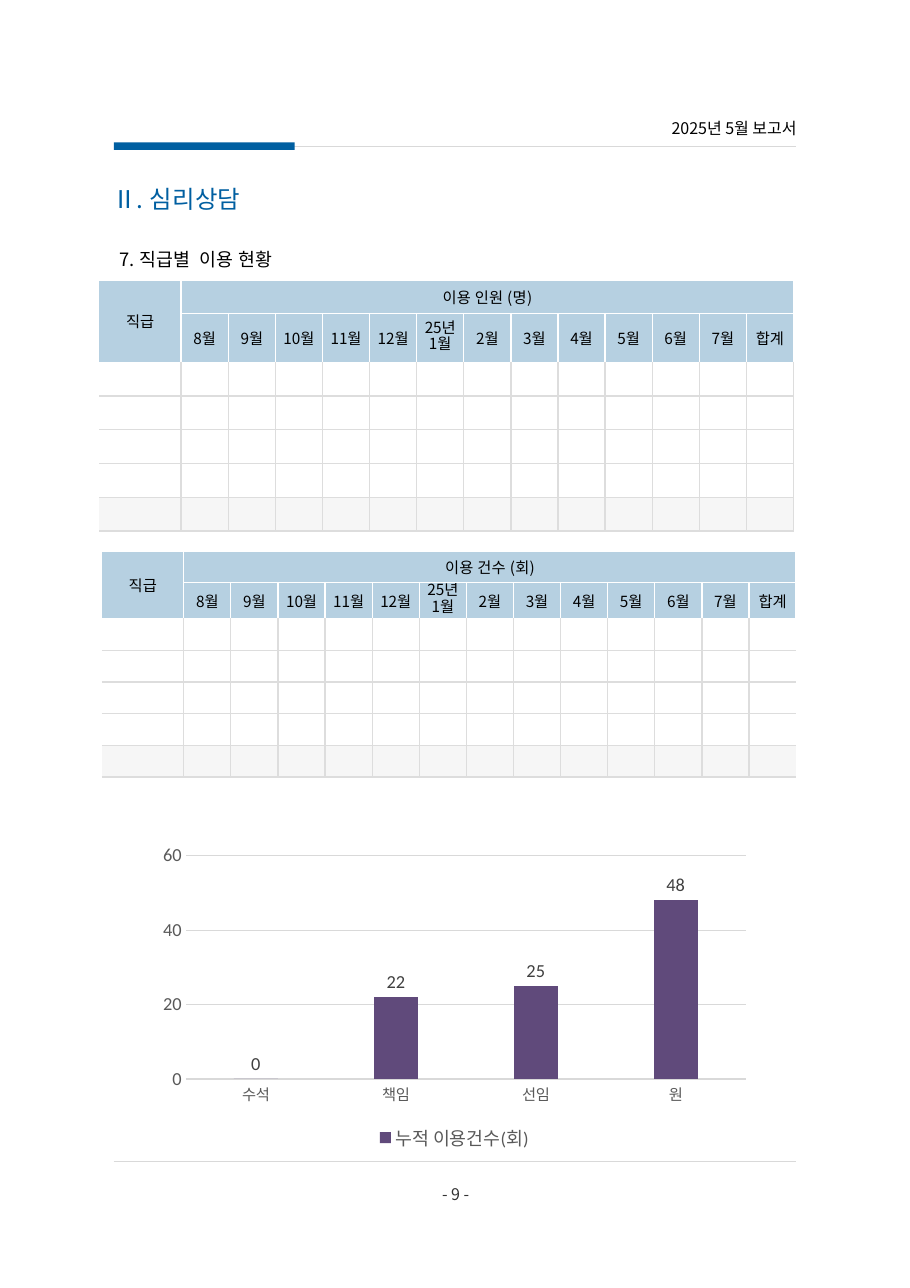
from lxml import etree
from pptx import Presentation
from pptx import util as u
from pptx.chart import data
from pptx.dml import color
from pptx.enum import chart as charts, shapes, text
from pptx.oxml import ns

Pt = u.Pt
HANGUL = "Noto Sans CJK KR"
LATIN = "Calibri"
BLUE, HEADER_BLUE, PURPLE = "005FA1", "B6D0E1", "604A7B"
RULE_GRAY, CELL_GRAY, TOTAL_GRAY = "D9D9D9", "DDDDDD", "F6F6F6"
MONTHS = ["8월", "9월", "10월", "11월", "12월", "25년\n1월", "2월", "3월",
          "4월", "5월", "6월", "7월", "합계"]
BODY_ROWS = 5
RANK_WIDTH, MONTH_WIDTH = 53.6, 30.8


def rgb(value):
    return color.RGBColor.from_string(value)


def set_font(font, size, shade, name=HANGUL):
    font.size, font.name = Pt(size), name
    font.color.rgb = rgb(shade)


def style_paragraph(para, size, shade, align, before=0, spacing=None, tracking=0):
    para.alignment, para.space_before = align, Pt(before)
    if spacing:
        para.line_spacing = spacing
    set_font(para.font, size, shade)
    # East Asian typeface and letter spacing
    properties = para.font._rPr
    etree.SubElement(properties, ns.qn("a:ea"), typeface=HANGUL)
    if tracking:
        properties.set("spc", str(round(tracking * 100)))


def add_text(page, words, left, top, width, height, size, shade, align,
             insets=(0, 0, 0, 0), indent=0, **style):
    box = page.shapes.add_textbox(Pt(left), Pt(top), Pt(width), Pt(height))
    frame = box.text_frame
    frame.word_wrap = True
    frame.auto_size = text.MSO_AUTO_SIZE.SHAPE_TO_FIT_TEXT
    (frame.margin_left, frame.margin_top,
     frame.margin_right, frame.margin_bottom) = map(Pt, insets)
    para = frame.paragraphs[0]
    para.text = words
    style_paragraph(para, size, shade, align, **style)
    if indent:
        para._p.get_or_add_pPr().set("marL", str(Pt(indent)))


def add_rule(page, left, right, top):
    rule = page.shapes.add_connector(
        shapes.MSO_CONNECTOR.STRAIGHT, Pt(left), Pt(top), Pt(right), Pt(top))
    rule.line.color.rgb = rgb(RULE_GRAY)
    rule.line.width = Pt(0.75)
    etree.SubElement(rule._element.spPr, ns.qn("a:effectLst"))


def add_bar(page, left, top, width, height):
    bar = page.shapes.add_shape(
        shapes.MSO_SHAPE.RECTANGLE, Pt(left), Pt(top), Pt(width), Pt(height))
    bar.shadow.inherit = False
    bar.fill.solid()
    bar.fill.fore_color.rgb = rgb(BLUE)
    bar.line.fill.background()


def set_borders(cell, left, right, top, bottom):
    properties = cell._tc.get_or_add_tcPr()
    for side, shade in zip("LRTB", (left, right, top, bottom)):
        line = etree.SubElement(properties, ns.qn(f"a:ln{side}"), w=str(Pt(1)))
        if shade:
            fill = etree.SubElement(line, ns.qn("a:solidFill"))
            etree.SubElement(fill, ns.qn("a:srgbClr"), val=shade)
        else:
            etree.SubElement(line, ns.qn("a:noFill"))


def fill_cell(cell, shade):
    if shade:
        cell.fill.solid()
        cell.fill.fore_color.rgb = rgb(shade)
    else:
        cell.fill.background()


def write_header(cell, words, before, tracking=0):
    cell.text_frame.text = words
    stacked = "\n" in words
    for para in cell.text_frame.paragraphs:
        style_paragraph(para, 10, "000000", text.PP_ALIGN.CENTER, before,
                        0.5 if stacked else None, tracking)


def add_usage_table(page, heading, left, top, row_height, month_height,
                    closed, stacked_inset):
    heights = [row_height, month_height] + [row_height] * BODY_ROWS
    widths = [RANK_WIDTH] + [MONTH_WIDTH] * len(MONTHS)
    table = page.shapes.add_table(
        len(heights), len(widths), Pt(left), Pt(top),
        Pt(sum(widths)), Pt(sum(heights))).table
    table.first_row = table.horz_banding = False
    for column, width in zip(table.columns, widths):
        column.width = Pt(width)
    for row, height in zip(table.rows, heights):
        row.height = Pt(height)

    # Borders, fills and margins
    last_row, last_column = len(heights) - 1, len(widths) - 1
    for r in range(len(heights)):
        for c in range(len(widths)):
            cell = table.cell(r, c)
            header = r < 2
            shade = "FFFFFF" if header else CELL_GRAY
            open_right = c == last_column and not header and not closed
            set_borders(cell, shade if c else None,
                        None if open_right else shade,
                        "FFFFFF" if r <= 2 else CELL_GRAY,
                        "FFFFFF" if header else CELL_GRAY)
            fill_cell(cell, HEADER_BLUE if header
                      else TOTAL_GRAY if r == last_row else None)
            cell.vertical_anchor = text.MSO_ANCHOR.MIDDLE
            cell.margin_left = cell.margin_right = Pt(2.9)
            cell.margin_top = cell.margin_bottom = Pt(2.9)
            if not header:
                # Small end mark keeps empty rows at their set height
                etree.SubElement(cell.text_frame.paragraphs[0]._p,
                                 ns.qn("a:endParaRPr"), sz="800")

    # Headings
    table.cell(0, 0).merge(table.cell(1, 0))
    table.cell(0, 1).merge(table.cell(0, last_column))
    write_header(table.cell(0, 0), "직급", 9.1)
    write_header(table.cell(0, 1), heading, 8.8, 0.2)
    for c, month in enumerate(MONTHS, 1):
        cell = table.cell(1, c)
        write_header(cell, month, 3.4)
        if "\n" in month:
            cell.margin_top = cell.margin_bottom = Pt(stacked_inset)


def add_usage_chart(page, left, top, width, height):
    usage = data.CategoryChartData()
    usage.categories = ["수석", "책임", "선임", "원"]
    usage.add_series("누적 이용건수(회)", [0, 22, 25, 48])
    chart = page.shapes.add_chart(
        charts.XL_CHART_TYPE.COLUMN_CLUSTERED,
        Pt(left), Pt(top), Pt(width), Pt(height), usage).chart
    set_font(chart.font, 10, "000000", LATIN)
    chart.has_title = False
    chart.has_legend = True
    chart.legend.position = charts.XL_LEGEND_POSITION.BOTTOM
    chart.legend.include_in_layout = False
    set_font(chart.legend.font, 12, "595959", LATIN)

    # Columns and their labels
    plot = chart.plots[0]
    plot.vary_by_categories = False
    plot.gap_width, plot.overlap = 219, -27
    columns = plot.series[0]
    columns.format.fill.solid()
    columns.format.fill.fore_color.rgb = rgb(PURPLE)
    labels = columns.data_labels
    labels.show_value = True
    labels.position = charts.XL_LABEL_POSITION.OUTSIDE_END
    set_font(labels.font, 12, "404040", LATIN)

    # Axes
    ranks, counts = chart.category_axis, chart.value_axis
    for axis in (ranks, counts):
        axis.major_tick_mark = axis.minor_tick_mark = charts.XL_TICK_MARK.NONE
    set_font(ranks.tick_labels.font, 10, "595959")
    set_font(counts.tick_labels.font, 12, "595959", LATIN)
    counts.minimum_scale, counts.maximum_scale, counts.major_unit = 0, 60, 20
    counts.format.line.fill.background()
    for line in (ranks.format.line, counts.major_gridlines.format.line):
        line.color.rgb = rgb(RULE_GRAY)
        line.width = Pt(0.75)


def main():
    deck = Presentation()
    deck.slide_width, deck.slide_height = Pt(594.72), Pt(841.68)
    page = deck.slides.add_slide(deck.slide_layouts[6])
    align = text.PP_ALIGN

    # Page header and footer
    add_rule(page, 180.7, 520.5, 95.8)
    add_bar(page, 74.5, 93, 118, 5)
    add_rule(page, 74.2, 520.5, 758.9)
    add_text(page, "- 9 -", 283, 771.8, 29.5, 14.4, 10.5, "333333",
             align.CENTER, (0, 2.2, 0, 0), before=1.9)
    add_text(page, "2025년 5월 보고서", 398.9, 77, 121.7, 13.7, 10.5, "000000",
             align.RIGHT, (0, 0.7, 0, 0), before=1)

    # Section headings
    add_text(page, "Ⅱ. 심리상담", 66.2, 116.6, 168.5, 26.6, 16, BLUE,
             align.LEFT, (7.2, 3.6, 7.2, 3.6), tracking=0.2)
    add_text(page, "7. 직급별  이용 현황", 74.9, 149, 445, 26, 12, "000000",
             align.JUSTIFY, (0, 5.8, 0, 0), indent=3,
             before=6, spacing=1.5, tracking=0.2)

    # Usage by rank
    add_usage_table(page, "이용 인원 (명)", 64.8, 182.9, 22.1, 31.7, True, 2.9)
    add_usage_table(page, "이용 건수 (회)", 66.5, 360, 20.7, 23.6, False, 0)
    add_usage_chart(page, 98.6, 547.9, 396.7, 207.4)

    deck.save("out.pptx")


if __name__ == "__main__":
    main()
